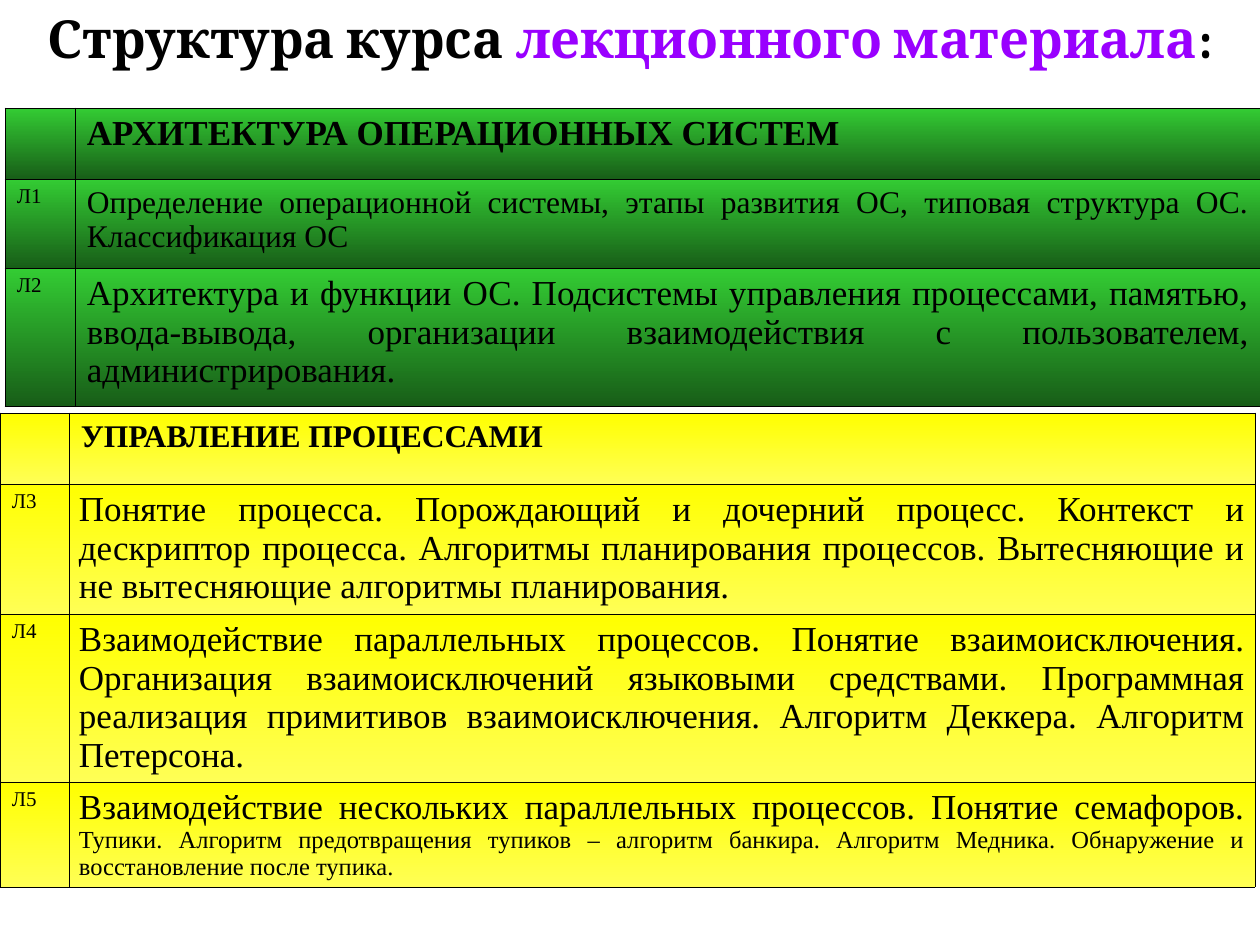
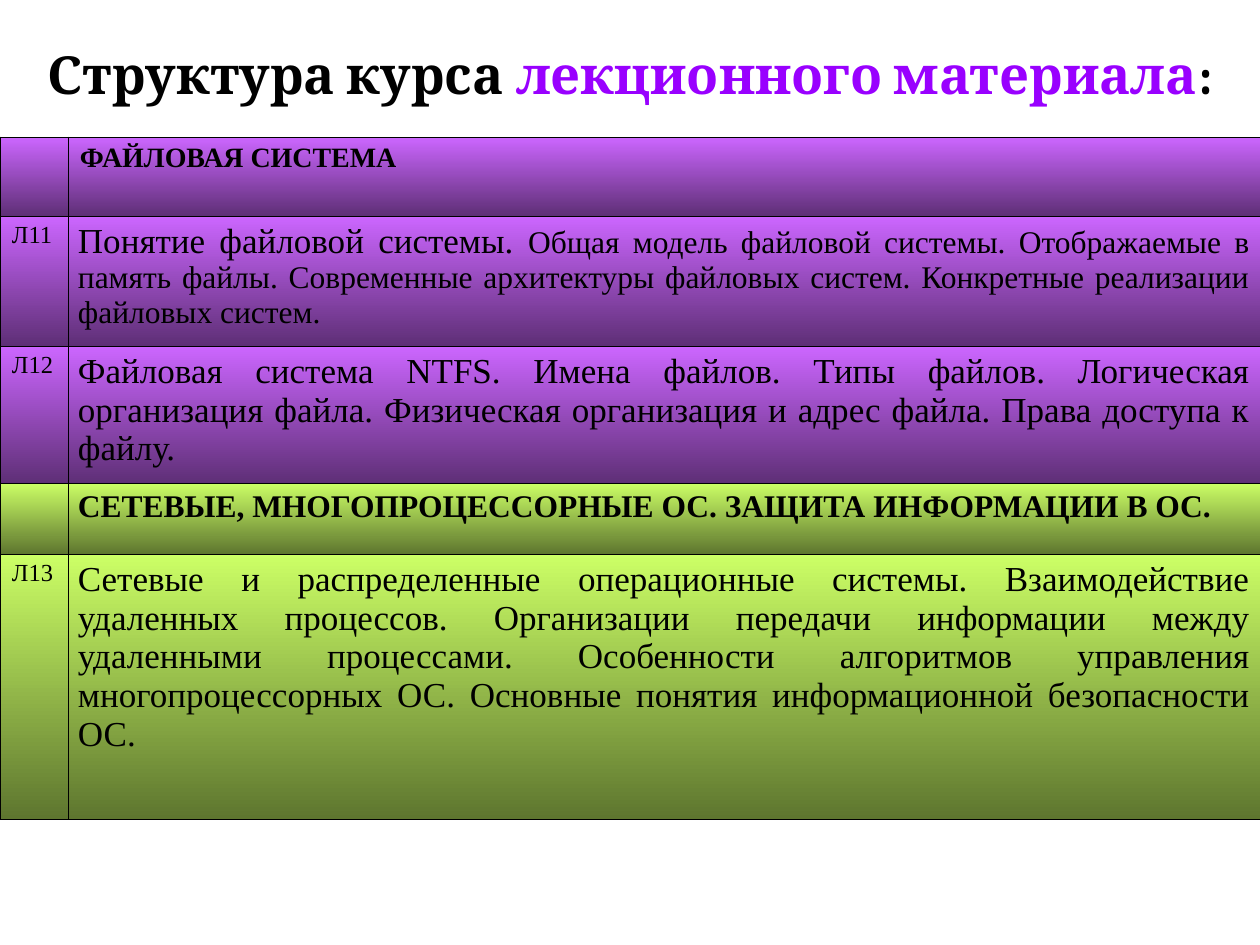
from dataclasses import dataclass

import lxml.etree
import pptx
import pptx.dml.color
import pptx.enum.text
import pptx.oxml.ns
import pptx.slide
import pptx.table
import pptx.text.text
import pptx.util

RGBColor = pptx.dml.color.RGBColor
PP_ALIGN = pptx.enum.text.PP_ALIGN

PX_PER_INCH = 126
SLIDE_WIDTH = 1260
SLIDE_HEIGHT = 945
TITLE_HEIGHT = 76
WIDE_INSET = 12
NARROW_INSET = 10
VERTICAL_INSET = 6
BORDER_POINTS = 0.45

TITLE_FONT = "Cambria"
BODY_FONT = "Times New Roman"

BLACK = RGBColor(0x00, 0x00, 0x00)
TITLE_VIOLET = RGBColor(0x99, 0x00, 0xFF)
GREEN = (RGBColor(0x33, 0xCC, 0x33), RGBColor(0x18, 0x5E, 0x18))
YELLOW = (RGBColor(0xFF, 0xFF, 0x00), RGBColor(0xFF, 0xFF, 0x55))
PURPLE = (RGBColor(0xCC, 0x66, 0xFF), RGBColor(0x5E, 0x2F, 0x76))
LIME = (RGBColor(0xCC, 0xFF, 0x66), RGBColor(0x5E, 0x76, 0x2F))


@dataclass(frozen=True)
class Span:
    text: str
    size: int
    bold: bool = False
    color: RGBColor = BLACK
    font: str = BODY_FONT


@dataclass(frozen=True)
class Lecture:
    number: str
    height: int
    spans: tuple[Span, ...]


@dataclass(frozen=True)
class Section:
    left: int
    top: int
    columns: tuple[int, int]
    gradient: tuple[RGBColor, RGBColor]
    heading: str
    heading_size: int
    heading_height: int
    heading_inset: int
    number_size: int
    text_inset: int
    lectures: tuple[Lecture, ...]


@dataclass(frozen=True)
class CoursePage:
    title_top: int
    sections: tuple[Section, ...]


TITLE = tuple(
    Span(text, 30, True, color, TITLE_FONT)
    for text, color in (
        ("Структура курса ", BLACK),
        ("лекционного материала", TITLE_VIOLET),
        (":", BLACK),
    )
)

ARCHITECTURE = Section(
    5, 108, (70, 1186), GREEN, "АРХИТЕКТУРА ОПЕРАЦИОННЫХ СИСТЕМ", 20, 71,
    WIDE_INSET, 12, WIDE_INSET,
    (
        Lecture("Л1", 89, (Span(
            "Определение операционной системы, этапы развития ОС, типовая "
            "структура ОС. Классификация ОС", 18),)),
        Lecture("Л2", 138, (Span(
            "Архитектура и функции ОС. Подсистемы управления процессами, "
            "памятью, ввода-вывода, организации взаимодействия с "
            "пользователем, администрирования.", 20),)),
    ),
)

PROCESSES = Section(
    0, 413, (69, 1186), YELLOW, "УПРАВЛЕНИЕ ПРОЦЕССАМИ", 18, 71,
    WIDE_INSET, 12, NARROW_INSET,
    (
        Lecture("Л3", 130, (Span(
            "Понятие процесса. Порождающий и дочерний процесс. Контекст и "
            "дескриптор процесса. Алгоритмы планирования процессов. "
            "Вытесняющие и не вытесняющие алгоритмы планирования.", 20),)),
        Lecture("Л4", 168, (Span(
            "Взаимодействие параллельных процессов. Понятие "
            "взаимоисключения. Организация взаимоисключений языковыми "
            "средствами. Программная реализация примитивов "
            "взаимоисключения. Алгоритм Деккера. Алгоритм Петерсона.", 20),)),
        Lecture("Л5", 105, (
            Span("Взаимодействие нескольких параллельных процессов. "
                 "Понятие семафоров. ", 20),
            Span("Тупики. Алгоритм предотвращения тупиков – алгоритм "
                 "банкира. Алгоритм Медника. Обнаружение и восстановление "
                 "после тупика.", 14),
        )),
    ),
)

FILE_SYSTEM = Section(
    0, 137, (68, 1192), PURPLE, "ФАЙЛОВАЯ СИСТЕМА", 16, 79,
    WIDE_INSET, 14, NARROW_INSET,
    (
        Lecture("Л11", 130, (
            Span("Понятие файловой системы. ", 20),
            Span("Общая модель файловой системы. Отображаемые в память "
                 "файлы. Современные архитектуры файловых систем. "
                 "Конкретные реализации файловых систем.", 18),
        )),
        Lecture("Л12", 136, (Span(
            "Файловая система NTFS. Имена файлов. Типы файлов. Логическая "
            "организация файла. Физическая организация и адрес файла. "
            "Права доступа к файлу.", 20),)),
    ),
)

NETWORKS = Section(
    0, 483, (68, 1192), LIME,
    "СЕТЕВЫЕ, МНОГОПРОЦЕССОРНЫЕ ОС. ЗАЩИТА ИНФОРМАЦИИ В ОС.", 18, 71,
    NARROW_INSET, 14, NARROW_INSET,
    (
        Lecture("Л13", 265, (Span(
            "Сетевые и распределенные операционные системы. Взаимодействие "
            "удаленных процессов. Организации передачи информации между "
            "удаленными процессами. Особенности алгоритмов управления "
            "многопроцессорных ОС. Основные понятия информационной "
            "безопасности ОС.", 20),)),
    ),
)

PAGES = (
    CoursePage(0, (ARCHITECTURE, PROCESSES)),
    CoursePage(36, (FILE_SYSTEM, NETWORKS)),
)


def px(length: int) -> pptx.util.Emu:
    return pptx.util.Emu(round(length * 914400 / PX_PER_INCH))


def write_spans(
    paragraph: pptx.text.text._Paragraph,
    spans: tuple[Span, ...],
    alignment: PP_ALIGN,
) -> None:
    paragraph.alignment = alignment
    for span in spans:
        run = paragraph.add_run()
        run.text = span.text
        run.font.name = span.font
        run.font.size = pptx.util.Pt(span.size)
        run.font.bold = span.bold
        run.font.color.rgb = span.color


def add_borders(cell: pptx.table._Cell) -> None:
    qn = pptx.oxml.ns.qn
    properties = cell._tc.get_or_add_tcPr()
    for side in ("a:lnL", "a:lnR", "a:lnT", "a:lnB"):
        line = lxml.etree.SubElement(
            properties, qn(side), w=str(pptx.util.Pt(BORDER_POINTS)))
        fill = lxml.etree.SubElement(line, qn("a:solidFill"))
        lxml.etree.SubElement(fill, qn("a:srgbClr"), val=str(BLACK))


def fill_cell(
    cell: pptx.table._Cell,
    spans: tuple[Span, ...],
    inset: int,
    gradient: tuple[RGBColor, RGBColor],
) -> None:
    cell.margin_left = cell.margin_right = px(inset)
    cell.margin_top = cell.margin_bottom = px(VERTICAL_INSET)
    add_borders(cell)
    cell.fill.gradient()
    cell.fill.gradient_angle = 270
    for stop, color in zip(cell.fill.gradient_stops, gradient):
        stop.color.rgb = color
    write_spans(cell.text_frame.paragraphs[0], spans, PP_ALIGN.JUSTIFY)


def add_section(slide: pptx.slide.Slide, section: Section) -> None:
    heights = [section.heading_height]
    heights += [lecture.height for lecture in section.lectures]
    table = slide.shapes.add_table(
        len(heights), 2, px(section.left), px(section.top),
        px(sum(section.columns)), px(sum(heights))).table
    table.first_row = False
    table.horz_banding = False
    for column, width in zip(table.columns, section.columns):
        column.width = px(width)
    for row, height in zip(table.rows, heights):
        row.height = px(height)

    heading = Span(section.heading, section.heading_size, True)
    fill_cell(table.cell(0, 0), (), WIDE_INSET, section.gradient)
    fill_cell(table.cell(0, 1), (heading,), section.heading_inset,
              section.gradient)
    for index, lecture in enumerate(section.lectures, start=1):
        number = Span(lecture.number, section.number_size)
        fill_cell(table.cell(index, 0), (number,), WIDE_INSET,
                  section.gradient)
        fill_cell(table.cell(index, 1), lecture.spans, section.text_inset,
                  section.gradient)


def add_title(slide: pptx.slide.Slide, top: int) -> None:
    text_frame = slide.shapes.add_textbox(
        px(0), px(top), px(SLIDE_WIDTH), px(TITLE_HEIGHT)).text_frame
    text_frame.word_wrap = True
    text_frame.auto_size = pptx.enum.text.MSO_AUTO_SIZE.SHAPE_TO_FIT_TEXT
    write_spans(text_frame.paragraphs[0], TITLE, PP_ALIGN.CENTER)


def main() -> None:
    presentation = pptx.Presentation()
    presentation.slide_width = px(SLIDE_WIDTH)
    presentation.slide_height = px(SLIDE_HEIGHT)
    blank_layout = presentation.slide_layouts[6]
    for page in PAGES:
        slide = presentation.slides.add_slide(blank_layout)
        for section in page.sections:
            add_section(slide, section)
        add_title(slide, page.title_top)
    presentation.save("out.pptx")


if __name__ == "__main__":
    main()
